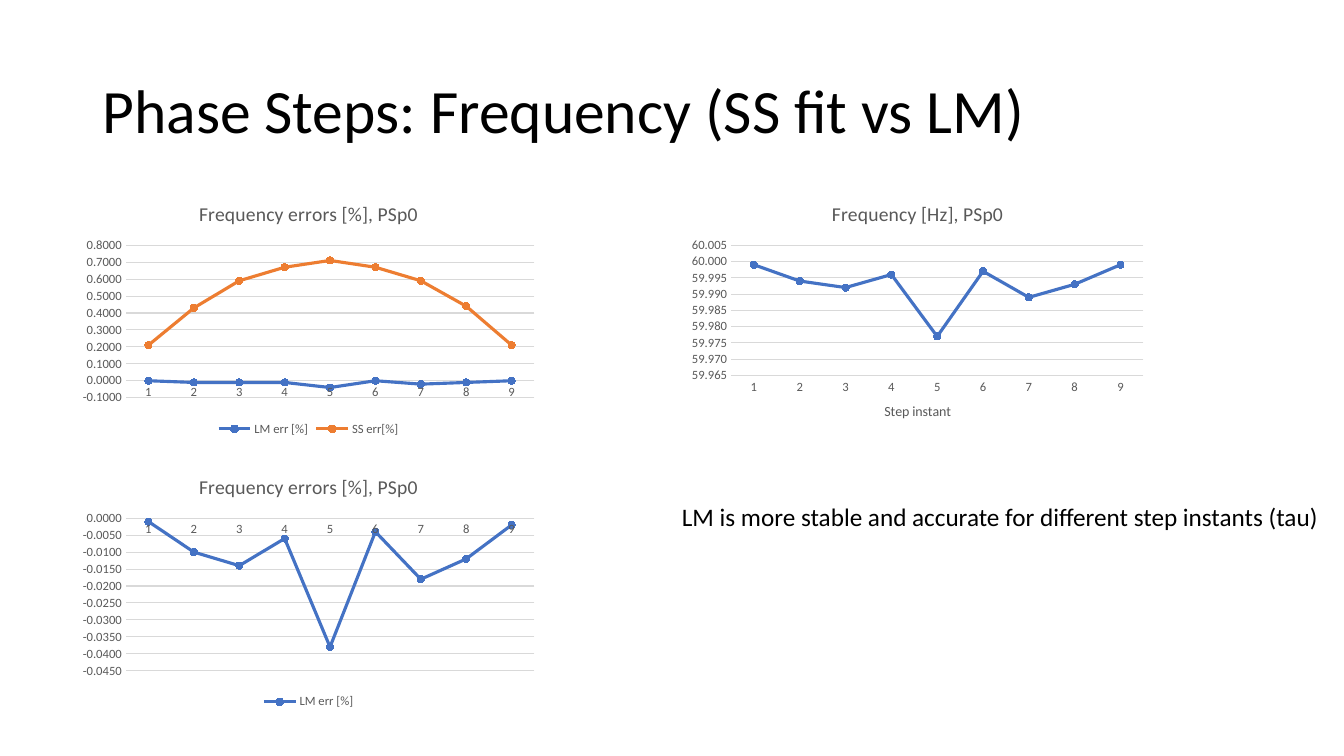
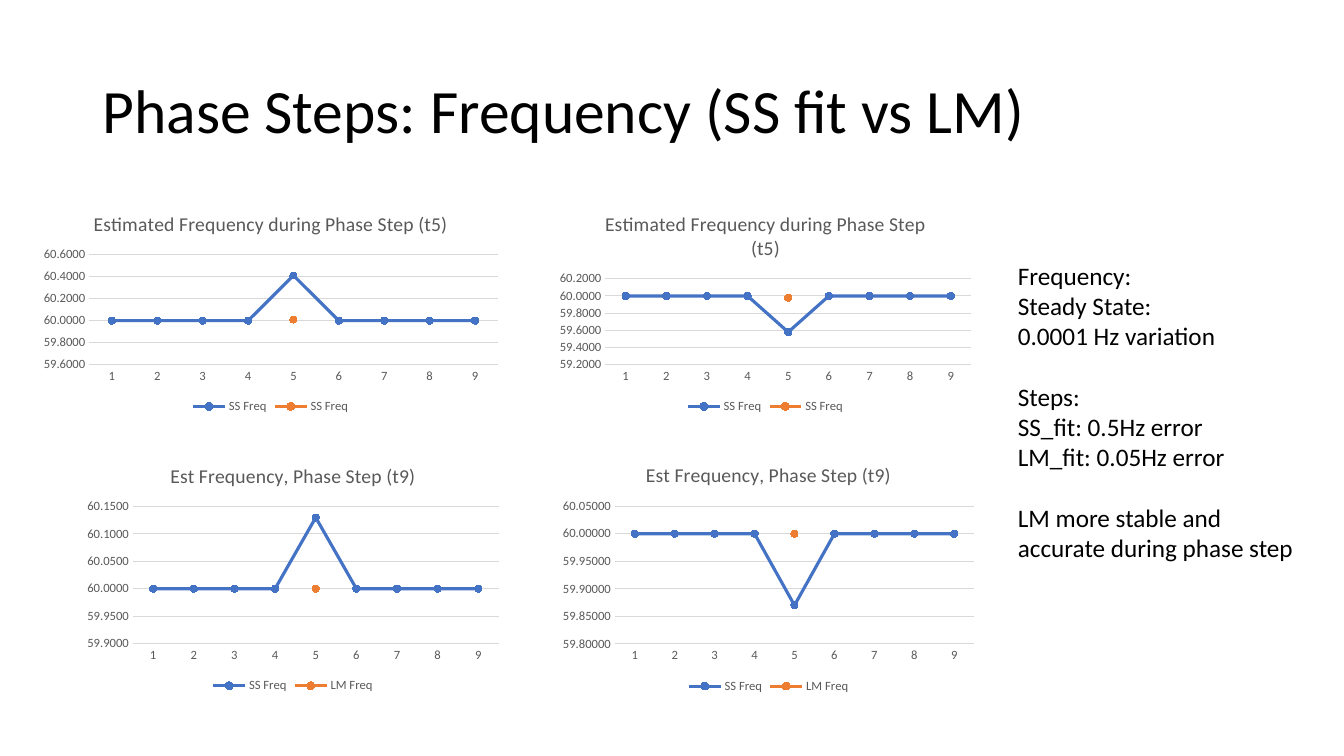
from dataclasses import dataclass

from pptx import Presentation
from pptx.chart.data import CategoryChartData
from pptx.dml.color import RGBColor
from pptx.enum.chart import XL_CHART_TYPE, XL_LEGEND_POSITION, XL_MARKER_STYLE, XL_TICK_MARK
from pptx.enum.text import MSO_ANCHOR, MSO_AUTO_SIZE, PP_ALIGN
from pptx.util import Pt


@dataclass(frozen=True)
class Theme:
    font: str = "Calibri"
    ink: RGBColor = RGBColor.from_string("000000")
    label: RGBColor = RGBColor.from_string("595959")
    grid: RGBColor = RGBColor.from_string("D9D9D9")
    series: tuple = (RGBColor.from_string("4472C4"), RGBColor.from_string("ED7D31"))
    title_size: int = 44
    body_size: int = 18
    chart_title_size: int = 14
    axis_title_size: int = 10
    label_size: int = 9


THEME = Theme()
HEADING = "Phase Steps: Frequency (SS fit vs LM)"
STEPS = range(1, 10)
MIDDLE_STEP = 5
LM_ERRORS = (-0.001, -0.01, -0.014, -0.006, -0.038, -0.004, -0.018, -0.012, -0.002)
SS_ERRORS = (0.21, 0.43, 0.59, 0.67, 0.71, 0.67, 0.59, 0.44, 0.21)
LM_FREQUENCIES = (59.999, 59.994, 59.992, 59.996, 59.977, 59.997, 59.989, 59.993, 59.999)


def style_font(font, size, color):
    font.name = THEME.font
    font.size = Pt(size)
    font.bold = False
    font.color.rgb = color


def write_text(frame, lines, size=THEME.body_size, color=THEME.ink, spacing=None, gaps=()):
    for index, line in enumerate(lines):
        para = frame.paragraphs[0] if index == 0 else frame.add_paragraph()
        para.alignment = PP_ALIGN.LEFT
        para.line_spacing = spacing
        if index in gaps:
            para.space_before = Pt(size * 1.2)
        span = para.add_run()
        span.text = line
        style_font(span.font, size, color)


def write_chart_title(title, text, size):
    frame = title.text_frame
    write_text(frame, [text], size=size, color=THEME.label)
    frame.paragraphs[0].alignment = PP_ALIGN.CENTER


def add_page(deck):
    page = deck.slides.add_slide(deck.slide_layouts[5])
    title = page.shapes.title
    title.left, title.top, title.width, title.height = Pt(66), Pt(28.75), Pt(828), Pt(104.4)
    frame = title.text_frame
    frame.auto_size = MSO_AUTO_SIZE.NONE
    frame.vertical_anchor = MSO_ANCHOR.MIDDLE
    write_text(frame, [HEADING], size=THEME.title_size, spacing=0.9)
    return page


def add_note(page, place, lines, wrap=True, gaps=()):
    box = page.shapes.add_textbox(*map(Pt, place))
    box.text_frame.word_wrap = wrap
    write_text(box.text_frame, lines, gaps=gaps)


def style_axis(axis):
    axis.major_tick_mark = XL_TICK_MARK.NONE
    axis.minor_tick_mark = XL_TICK_MARK.NONE
    style_font(axis.tick_labels.font, THEME.label_size, THEME.label)


def style_line(line, color, width):
    line.color.rgb = color
    line.width = Pt(width)


def style_series(series, color):
    series.smooth = False
    style_line(series.format.line, color, 2.25)
    marker = series.marker
    marker.style = XL_MARKER_STYLE.CIRCLE
    marker.size = 5
    marker.format.fill.solid()
    marker.format.fill.fore_color.rgb = color
    style_line(marker.format.line, color, 0.75)


def add_line_chart(page, place, title, series, scale, decimals=4, legend=True, axis_title=None):
    data = CategoryChartData()
    data.categories = [str(step) for step in STEPS]
    for name, values in series:
        data.add_series(name, values)
    chart = page.shapes.add_chart(XL_CHART_TYPE.LINE_MARKERS, *map(Pt, place), data).chart
    style_font(chart.font, THEME.axis_title_size, THEME.ink)
    write_chart_title(chart.chart_title, title, THEME.chart_title_size)

    chart.has_legend = legend
    if legend:
        chart.legend.position = XL_LEGEND_POSITION.BOTTOM
        chart.legend.include_in_layout = False
        style_font(chart.legend.font, THEME.label_size, THEME.label)

    steps, values = chart.category_axis, chart.value_axis
    style_axis(steps)
    style_line(steps.format.line, THEME.grid, 0.75)
    if axis_title:
        write_chart_title(steps.axis_title, axis_title, THEME.axis_title_size)

    style_axis(values)
    values.minimum_scale, values.maximum_scale, values.major_unit = scale
    values.format.line.fill.background()
    style_line(values.major_gridlines.format.line, THEME.grid, 0.75)
    values.tick_labels.number_format = "0." + "0" * decimals
    values.tick_labels.number_format_is_linked = False

    plot = chart.plots[0]
    plot.vary_by_categories = False
    for line, color in zip(plot.series, THEME.series):
        style_series(line, color)


def at_middle(value, other=None):
    return [value if step == MIDDLE_STEP else other for step in STEPS]


def build_errors(deck):
    page = add_page(deck)
    width, height = 336, 181.25
    left, right, upper, lower = 52.4, 487.5, 133.2, 328.2
    lm_name = "LM err [%]"
    title = "Frequency errors [%], PSp0"
    coarse_errors = [round(error, 2) for error in LM_ERRORS]
    add_line_chart(page, (left, upper, width, height), title,
                   [(lm_name, coarse_errors), ("SS err[%]", SS_ERRORS)], (-0.1, 0.8, 0.1))
    add_line_chart(page, (left, lower, width, height), title,
                   [(lm_name, LM_ERRORS)], (-0.045, 0, 0.005))
    add_line_chart(page, (right, upper, width, height), "Frequency [Hz], PSp0",
                   [("Frequency", LM_FREQUENCIES)], (59.965, 60.005, 0.005),
                   decimals=3, legend=False, axis_title="Step instant")
    add_note(page, (480, 354.6, 470, 29),
             ["LM is more stable and accurate for different step instants (tau)"], wrap=False)


def build_estimates(deck):
    page = add_page(deck)
    early, late = "Estimated Frequency during Phase Step (t5)", "Est Frequency, Phase Step (t9)"
    charts = (
        ((24.5, 140.8, 337.8, 157.7), early, 60.41, "SS Freq", 60.01, (59.6, 60.6, 0.2), 4),
        ((393.8, 140.8, 306, 157.7), early, 59.58, "SS Freq", 59.98, (59.2, 60.2, 0.2), 4),
        ((56.3, 320, 306, 178), late, 60.13, "LM Freq", 60, (59.9, 60.15, 0.05), 4),
        ((396, 319.7, 306, 178.6), late, 59.87, "LM Freq", 60, (59.8, 60.05, 0.05), 5),
    )
    for place, title, peak, point_name, point, scale, decimals in charts:
        series = [("SS Freq", at_middle(peak, 60)), (point_name, at_middle(point))]
        add_line_chart(page, place, title, series, scale, decimals=decimals)
    add_note(page, (720, 182.25, 224, 225.5),
             ["Frequency:", "Steady State:", "0.0001 Hz variation",
              "Steps:", "SS_fit: 0.5Hz error", "LM_fit: 0.05Hz error",
              "LM more stable and accurate during phase step"], gaps=(3, 6))


def main():
    deck = Presentation()
    deck.slide_width, deck.slide_height = Pt(960), Pt(540)
    build_errors(deck)
    build_estimates(deck)
    deck.save("out.pptx")


main()
